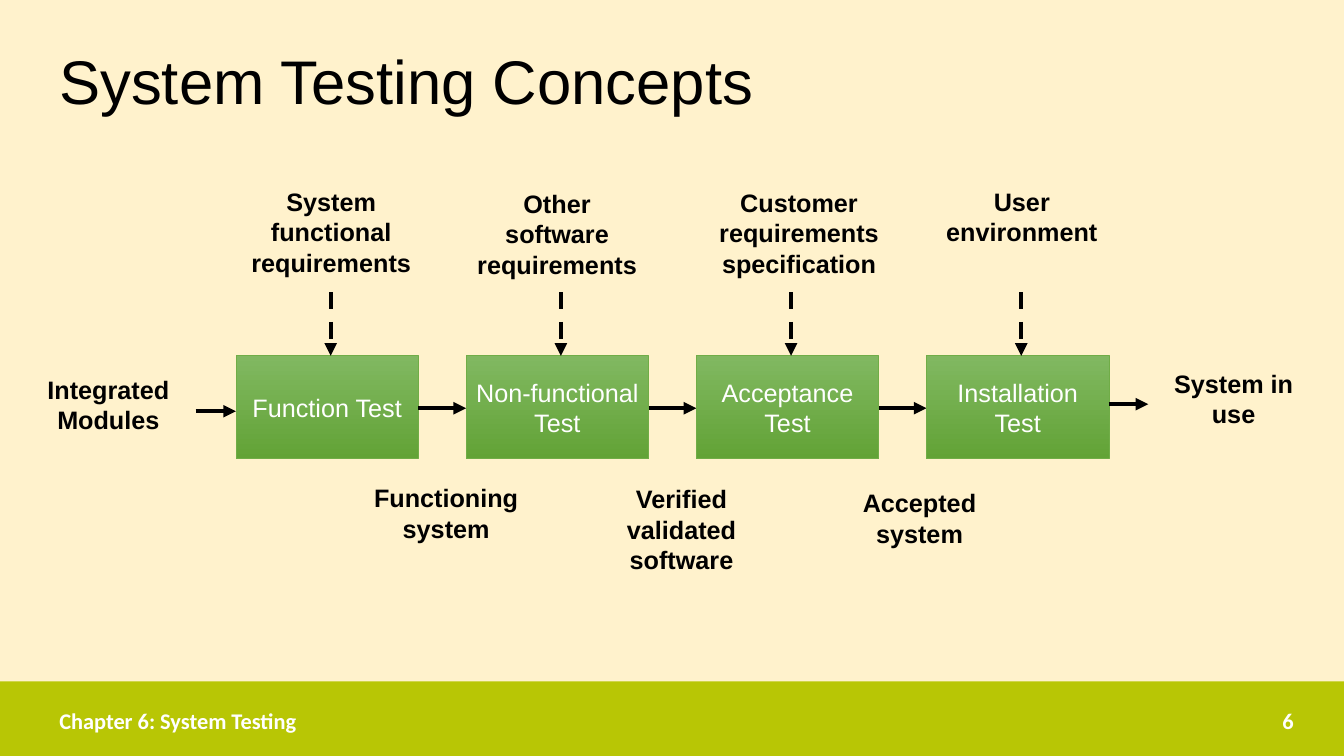
from lxml import etree
from pptx import Presentation
from pptx.dml.color import RGBColor
from pptx.enum.dml import MSO_LINE
from pptx.enum.shapes import MSO_CONNECTOR, MSO_SHAPE
from pptx.enum.text import MSO_ANCHOR, PP_ALIGN
from pptx.oxml.ns import qn
from pptx.util import Inches, Pt

COLORS = {
    "background": "FFF2CC",
    "footer": "B8C605",
    "step_top": "81B861",
    "step_bottom": "62A336",
    "step_line": "70AD47",
    "ink": "000000",
    "white": "FFFFFF",
}
SLIDE_W, SLIDE_H = 13.33, 7.5
STEP_W, STEP_H, STEP_PITCH = 1.81, 1.02, 2.283
STEP_X, STEP_Y = 2.09, 1.73  # first step within the diagram

STEPS = ["Function Test", "Non-functional Test", "Acceptance Test", "Installation Test"]
# Lines of text, then left, top, width and height within the diagram
LABELS = [
    (["System functional requirements"], 2.05, 0, 1.97, 1),
    (["Other", "software requirements"], 4.29, 0.02, 1.97, 1),
    (["Customer requirements", "specification"], 6.73, 0.01, 1.89, 1),
    (["User", "environment"], 9.02, 0, 1.73, 0.7),
    (["Functioning system"], 3.35, 2.94, 1.65, 0.7),
    (["Verified", "validated", "software"], 5.71, 2.95, 1.6, 1.3),
    (["Accepted system"], 8.07, 2.99, 1.6, 0.7),
    (["Integrated", "Modules"], 0, 1.86, 1.65, 0.71),
    (["System in", "use"], 11.16, 1.8, 1.65, 0.71),
]


def rgb(name):
    return RGBColor.from_string(COLORS[name])


def write(frame, lines, size, color="ink", bold=False, font="Arial",
          align=PP_ALIGN.LEFT, anchor=MSO_ANCHOR.MIDDLE):
    """Fill a text frame with one paragraph per line."""
    frame.word_wrap = True
    frame.vertical_anchor = anchor
    for index, line in enumerate(lines):
        paragraph = frame.add_paragraph() if index else frame.paragraphs[0]
        paragraph.alignment = align
        run = paragraph.add_run()
        run.text = line
        run.font.name = font
        run.font.size = Pt(size)
        run.font.bold = bold
        run.font.color.rgb = rgb(color)


def add_text(slide, box, lines, size, **style):
    label = slide.shapes.add_textbox(*map(Inches, box))
    write(label.text_frame, lines, size, **style)


def add_box(slide, box):
    block = slide.shapes.add_shape(MSO_SHAPE.RECTANGLE, *map(Inches, box))
    block.shadow.inherit = False
    return block


def add_arrow(slide, start, end, dashed=False):
    arrow = slide.shapes.add_connector(
        MSO_CONNECTOR.STRAIGHT, *map(Inches, (*start, *end)))
    arrow.line.color.rgb = rgb("ink")
    arrow.line.width = Pt(3)
    if dashed:
        arrow.line.dash_style = MSO_LINE.DASH
    properties = arrow.line._get_or_add_ln()
    etree.SubElement(properties, qn("a:tailEnd"), type="triangle")
    etree.SubElement(properties.getparent(), qn("a:effectLst"))


def add_step(slide, box, name):
    step = add_box(slide, box)
    step.fill.gradient()
    step.fill.gradient_angle = 270
    for stop, color in zip(step.fill.gradient_stops, ("step_top", "step_bottom")):
        stop.color.rgb = rgb(color)
    # The gradient runs over the full height of the step
    step.fill.gradient_stops[0].position = 0
    step.fill.gradient_stops[1].position = 1
    step.line.color.rgb = rgb("step_line")
    step.line.width = Pt(0.5)
    frame = step.text_frame
    frame.margin_left = frame.margin_right = Inches(0.08)
    write(frame, [name], 18, color="white", align=PP_ALIGN.CENTER)


def add_diagram(slide, left, top):
    """Chain of tests with their inputs above and results below."""
    step_top = top + STEP_Y
    flow_y = step_top + 0.52
    for index, name in enumerate(STEPS):
        step_left = left + STEP_X + index * STEP_PITCH
        step_right = step_left + STEP_W
        add_step(slide, (step_left, step_top, STEP_W, STEP_H), name)
        input_x = step_left + 0.94
        add_arrow(slide, (input_x, top + 1.1), (input_x, step_top), dashed=True)
        if index < len(STEPS) - 1:
            add_arrow(slide, (step_right, flow_y), (step_left + STEP_PITCH, flow_y))
    first_left = left + STEP_X
    add_arrow(slide, (first_left - 0.4, flow_y + 0.03), (first_left, flow_y + 0.03))
    add_arrow(slide, (step_right, flow_y - 0.04), (step_right + 0.39, flow_y - 0.04))
    for lines, x, y, width, height in LABELS:
        add_text(slide, (left + x, top + y, width, height), lines, 18, bold=True,
                 align=PP_ALIGN.CENTER, anchor=MSO_ANCHOR.TOP)


def add_footer(slide, left, top, width, height):
    band = add_box(slide, (left, top, width, height))
    band.fill.solid()
    band.fill.fore_color.rgb = rgb("footer")
    band.line.fill.background()
    style = {"color": "white", "bold": True, "font": "Calibri"}
    text_top = top + 0.19
    add_text(slide, (left + 0.49, text_top, 6.19, 0.4),
             ["Chapter 6: System Testing"], 16, **style)
    add_text(slide, (left + width - 3.91, text_top, 3.51, 0.4), ["6"], 16,
             align=PP_ALIGN.RIGHT, **style)


def main():
    deck = Presentation()
    deck.slide_width, deck.slide_height = Inches(SLIDE_W), Inches(SLIDE_H)
    slide = deck.slides.add_slide(deck.slide_layouts[6])
    slide.background.fill.solid()
    slide.background.fill.fore_color.rgb = rgb("background")
    add_footer(slide, 0, 6.76, SLIDE_W, 0.74)
    add_text(slide, (0.49, 0.17, 11.18, 1.25), ["System Testing Concepts"], 44)
    add_diagram(slide, 0.25, 1.8)
    deck.save("out.pptx")


if __name__ == "__main__":
    main()
